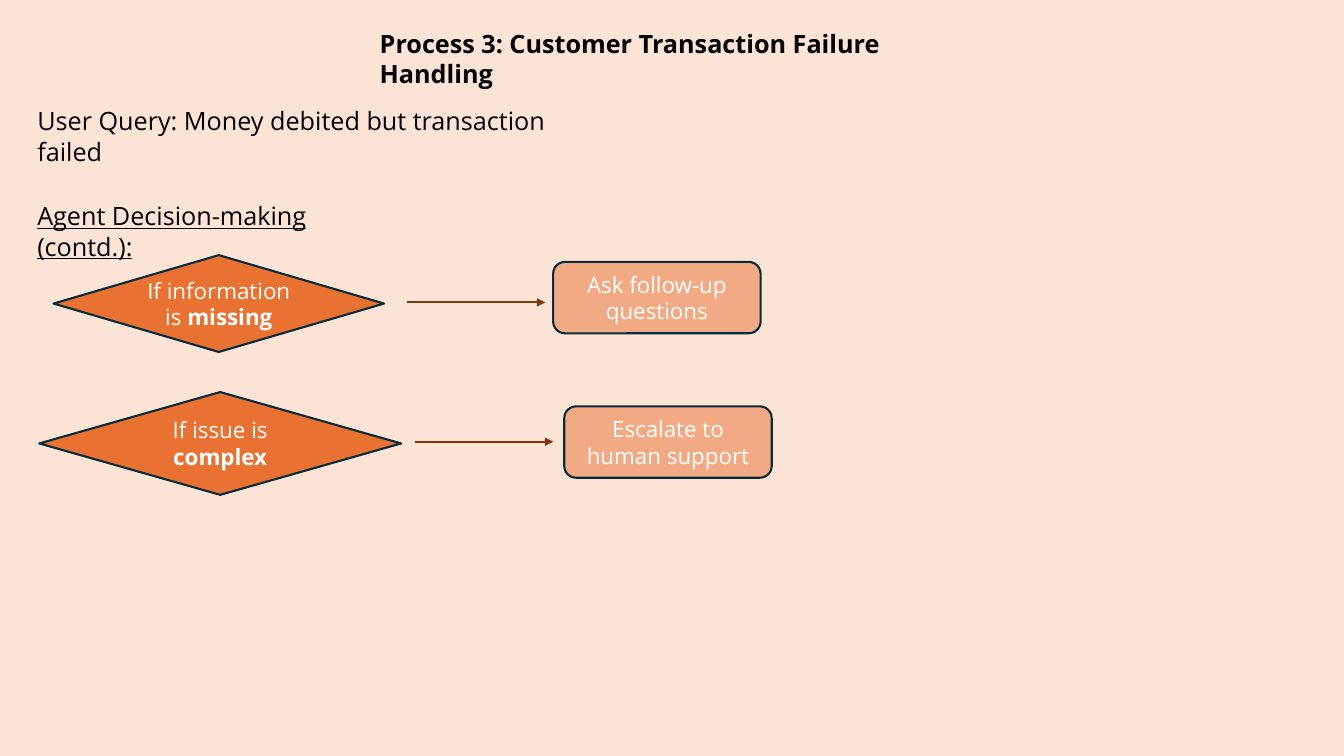
"""Builds the slide on handling failed customer transactions."""
from dataclasses import dataclass

from lxml.etree import SubElement
from pptx import Presentation
from pptx.dml.color import RGBColor
from pptx.enum.shapes import MSO_CONNECTOR, MSO_SHAPE
from pptx.enum.text import MSO_ANCHOR, PP_ALIGN
from pptx.oxml.ns import qn
from pptx.slide import Slide
from pptx.text.text import Font
from pptx.util import Cm, Pt

FONT = "Open Sans"
BACKGROUND = "FBE3D6"
INK = "000000"
LABEL = "FFFFFF"
OUTLINE = "092A39"
CONDITION_FILL = "E97132"
ACTION_FILL = "F2AA84"
ARROW = "80350E"
ACTION_WIDTH, ACTION_HEIGHT = 5.23, 1.8
ARROW_LENGTH = 3.48


@dataclass
class Box:
    left: float
    top: float
    width: float
    height: float

    def lengths(self) -> tuple[Cm, Cm, Cm, Cm]:
        return Cm(self.left), Cm(self.top), Cm(self.width), Cm(self.height)


@dataclass
class Heading:
    text: str
    box: Box
    bold: bool = False
    underline: bool = False


@dataclass
class Decision:
    condition: str
    keyword: str
    condition_box: Box
    action: str
    action_left: float
    action_top: float
    arrow_left: float
    arrow_y: float


HEADINGS = [
    Heading("Process 3: Customer Transaction Failure Handling",
            Box(9.32, 0.58, 14.99, 1.02), bold=True),
    Heading("User Query: Money debited but transaction failed",
            Box(0.69, 2.54, 14.02, 1.02)),
    Heading("Agent Decision-making (contd.):",
            Box(0.69, 4.93, 9.4, 1.02), underline=True),
]

DECISIONS = [
    Decision("If information is ", "missing", Box(1.35, 6.43, 8.33, 2.44),
             "Ask follow-up questions", 13.94, 6.6, 10.26, 7.62),
    Decision("If issue is ", "complex", Box(0.99, 9.88, 9.12, 2.59),
             "Escalate to human support", 14.22, 10.24, 10.46, 11.13),
]


def color(value: str) -> RGBColor:
    return RGBColor.from_string(value)


def style_font(font: Font, size: int, ink: str) -> None:
    font.name = FONT
    font.size = Pt(size)
    font.color.rgb = color(ink)


def add_heading(slide: Slide, heading: Heading) -> None:
    frame = slide.shapes.add_textbox(*heading.box.lengths()).text_frame
    frame.word_wrap = True
    paragraph = frame.paragraphs[0]
    paragraph.add_run().text = heading.text
    style_font(paragraph.font, 18, INK)
    paragraph.font.bold = heading.bold
    paragraph.font.underline = heading.underline


def add_node(slide: Slide, kind: MSO_SHAPE, box: Box, fill: str,
             text: str, keyword: str = "") -> None:
    node = slide.shapes.add_shape(kind, *box.lengths())
    node.shadow.inherit = False
    node.fill.solid()
    node.fill.fore_color.rgb = color(fill)
    node.line.color.rgb = color(OUTLINE)
    node.line.width = Pt(1.5)
    frame = node.text_frame
    frame.word_wrap = True
    frame.vertical_anchor = MSO_ANCHOR.MIDDLE
    paragraph = frame.paragraphs[0]
    paragraph.alignment = PP_ALIGN.CENTER
    style_font(paragraph.font, 16, LABEL)
    paragraph.add_run().text = text
    if keyword:
        emphasis = paragraph.add_run()
        emphasis.text = keyword
        emphasis.font.bold = True


def add_arrow(slide: Slide, left: float, y: float) -> None:
    arrow = slide.shapes.add_connector(
        MSO_CONNECTOR.STRAIGHT, Cm(left), Cm(y), Cm(left + ARROW_LENGTH), Cm(y))
    arrow.line.color.rgb = color(ARROW)
    arrow.line.width = Pt(1.5)
    SubElement(arrow.line._get_or_add_ln(), qn("a:tailEnd"), type="triangle")
    SubElement(arrow._element.spPr, qn("a:effectLst"))


def add_decision(slide: Slide, decision: Decision) -> None:
    add_node(slide, MSO_SHAPE.FLOWCHART_DECISION, decision.condition_box,
             CONDITION_FILL, decision.condition, decision.keyword)
    action_box = Box(decision.action_left, decision.action_top,
                     ACTION_WIDTH, ACTION_HEIGHT)
    add_node(slide, MSO_SHAPE.ROUNDED_RECTANGLE, action_box,
             ACTION_FILL, decision.action)
    add_arrow(slide, decision.arrow_left, decision.arrow_y)


def main() -> None:
    deck = Presentation()
    deck.slide_width, deck.slide_height = Cm(33.87), Cm(19.05)
    slide = deck.slides.add_slide(deck.slide_layouts[6])
    slide.background.fill.solid()
    slide.background.fill.fore_color.rgb = color(BACKGROUND)
    for heading in HEADINGS:
        add_heading(slide, heading)
    for decision in DECISIONS:
        add_decision(slide, decision)
    deck.save("out.pptx")


if __name__ == "__main__":
    main()
